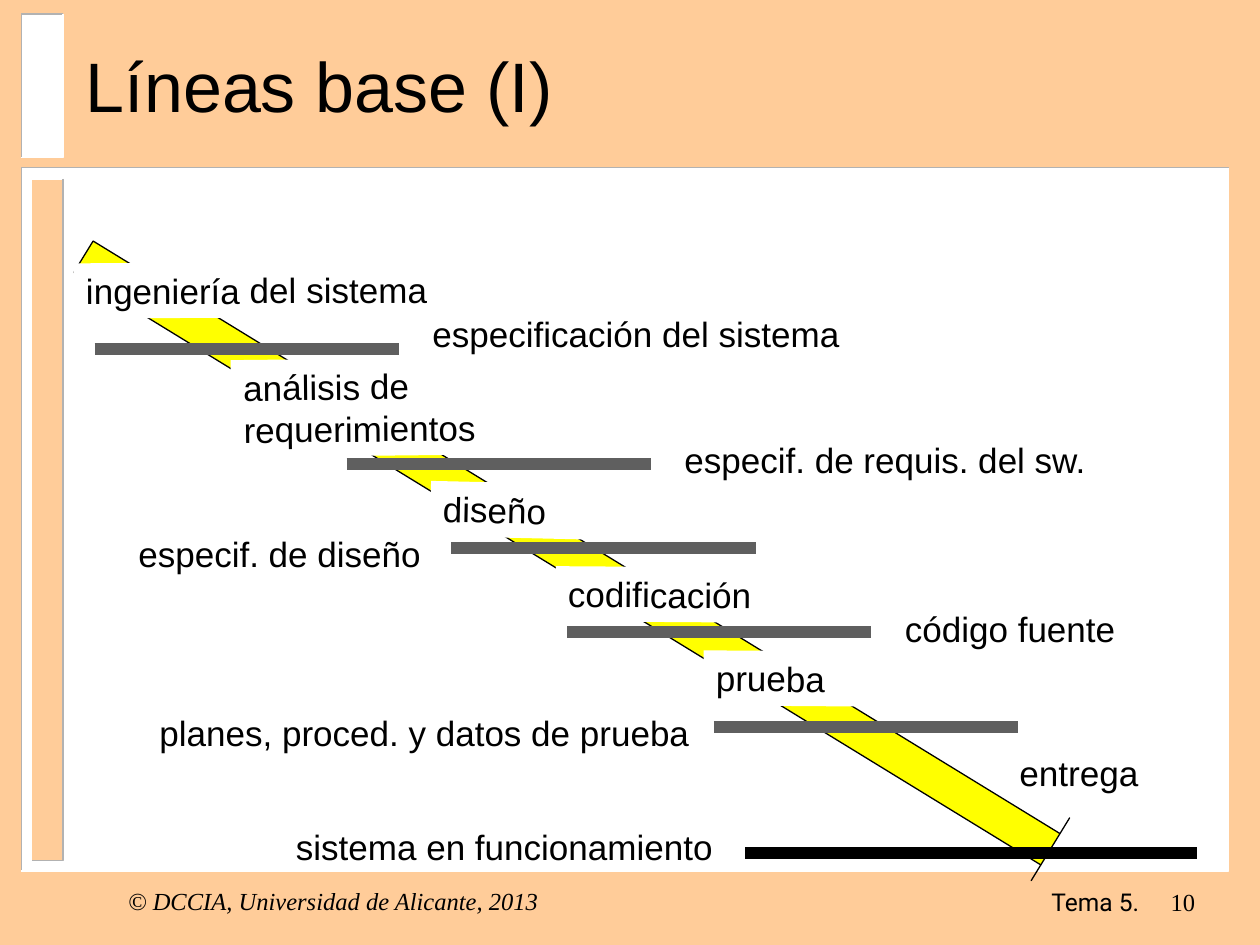
"""Build the slide on baselines in the software life cycle."""
from lxml.etree import SubElement
from pptx import Presentation
from pptx.dml.color import RGBColor
from pptx.enum.shapes import MSO_CONNECTOR as Link, MSO_SHAPE as Kind
from pptx.enum.text import MSO_ANCHOR as Anchor, PP_ALIGN as Align
from pptx.oxml.ns import qn
from pptx.util import Pt

PEACH = RGBColor(0xFF, 0xCC, 0x99)
WHITE = RGBColor(0xFF, 0xFF, 0xFF)
BLACK = RGBColor(0, 0, 0)
SILVER = RGBColor(0xB2, 0xB2, 0xB2)
GREY = RGBColor(0x5F, 0x5F, 0x5F)
YELLOW = RGBColor(0xFF, 0xFF, 0)

PANELS = [
    ((12.25, 95.75, 689.75, 401.75), WHITE, SILVER, WHITE),
    ((18, 102.25, 18, 389.5), PEACH, WHITE, SILVER),
    ((12.25, 8, 23.75, 82), WHITE, SILVER, WHITE),
]
PHASES = [
    ("ingeniería del sistema", 42, 150, 258.5, -0.2),
    ("análisis de\nrequerimientos", 132, 205, 156, -0.6),
    ("diseño", 246, 276, 108, 1.3),
    ("codificación", 317.5, 324, 126.5, 0.4),
    ("prueba", 402, 372, 108.5, 0.4),
    ("entrega", 575.5, 426, 108.5, 0.4),
]
PRODUCTS = [
    ("especificación del sistema", 240, 175, 294),
    ("especif. de requis. del sw.", 384, 247, 294),
    ("especif. de diseño", 72, 301, 186),
    ("código fuente", 510, 343.5, 138),
    ("planes, proced. y datos de prueba", 84, 403, 348),
    ("sistema en funcionamiento", 162, 468, 270),
]
BARS = [(54, 199.5), (198, 265), (258, 313), (324, 361), (408, 415.5)]
BAR = 174
LINE = 24
PAD = 7.5

deck = Presentation()
deck.slide_width, deck.slide_height = Pt(720), Pt(540)
slide = deck.slides.add_slide(deck.slide_layouts[6])
slide.background.fill.solid()
slide.background.fill.fore_color.rgb = PEACH
shapes = slide.shapes


def paint(shape, color):
    shape.fill.solid()
    shape.fill.fore_color.rgb = color


def text(words, x, y, w, h, size=20, font="Arial", align=Align.LEFT,
         anchor=Anchor.TOP, italic=False, wrap=True, fill=None, turn=0):
    box = shapes.add_textbox(Pt(x), Pt(y), Pt(w), Pt(h))
    box.rotation = turn
    if fill is not None:
        paint(box, fill)
    frame = box.text_frame
    frame.word_wrap = wrap
    frame.vertical_anchor = anchor
    frame.text = words
    for para in frame.paragraphs:
        para.alignment = align
        para.font.size = Pt(size)
        para.font.name = font
        para.font.italic = italic
        para.font.color.rgb = BLACK


def edge(points, color):
    spots = [(Pt(x), Pt(y)) for x, y in points]
    pen = shapes.build_freeform(*spots[0])
    pen.add_line_segments(spots[1:], close=False)
    shape = pen.convert_to_shape()
    shape.shadow.inherit = False
    shape.fill.background()
    shape.line.color.rgb = color
    shape.line.width = Pt(1)


def panel(area, fill, upper, lower):
    x, y, w, h = area
    rect = shapes.add_shape(Kind.RECTANGLE, *map(Pt, area))
    rect.shadow.inherit = False
    rect.line.fill.background()
    paint(rect, fill)
    start, end = (x + w, y), (x, y + h)
    edge([start, (x, y), end], upper)
    edge([start, (x + w, y + h), end], lower)


def bar(x, y, w, color):
    line = shapes.add_connector(Link.STRAIGHT, Pt(x), Pt(y), Pt(x + w), Pt(y))
    line.line.color.rgb = color
    line.line.width = Pt(7)
    SubElement(line._element.spPr, qn("a:effectLst"))


for args in PANELS:
    panel(*args)

text("Líneas base (I)", 42, 18, 648, 60, size=40, anchor=Anchor.MIDDLE)
text("© DCCIA, Universidad de Alicante, 2013", 66, 502.5, 249, 24, size=14,
     font="Times New Roman", align=Align.CENTER, anchor=Anchor.MIDDLE,
     italic=True, wrap=False)
for words, right, font in [("Tema 5.", 658, "Roboto"),
                           ("10", 690, "Times New Roman")]:
    text(words, right - 90, 497.5, 90, 36, size=14, font=font,
         align=Align.RIGHT, anchor=Anchor.MIDDLE)

arrow = shapes.add_shape(Kind.DOWN_ARROW, Pt(303), Pt(-8), Pt(42), Pt(648))
arrow.shadow.inherit = False
arrow.rotation = 301.5
arrow.adjustments[0], arrow.adjustments[1] = 0.5, 0
paint(arrow, YELLOW)
arrow.line.color.rgb = BLACK
arrow.line.width = Pt(0.75)

for words, x, y, w in PRODUCTS:
    text(words, x, y, w, LINE + PAD)
for words, x, y, w, turn in PHASES:
    rows = words.count("\n") + 1
    text(words, x, y, w, LINE * rows + PAD, fill=WHITE, turn=turn)
for x, y in BARS:
    bar(x, y, BAR, GREY)
bar(426, 487.5, 258, BLACK)

deck.save("out.pptx")
